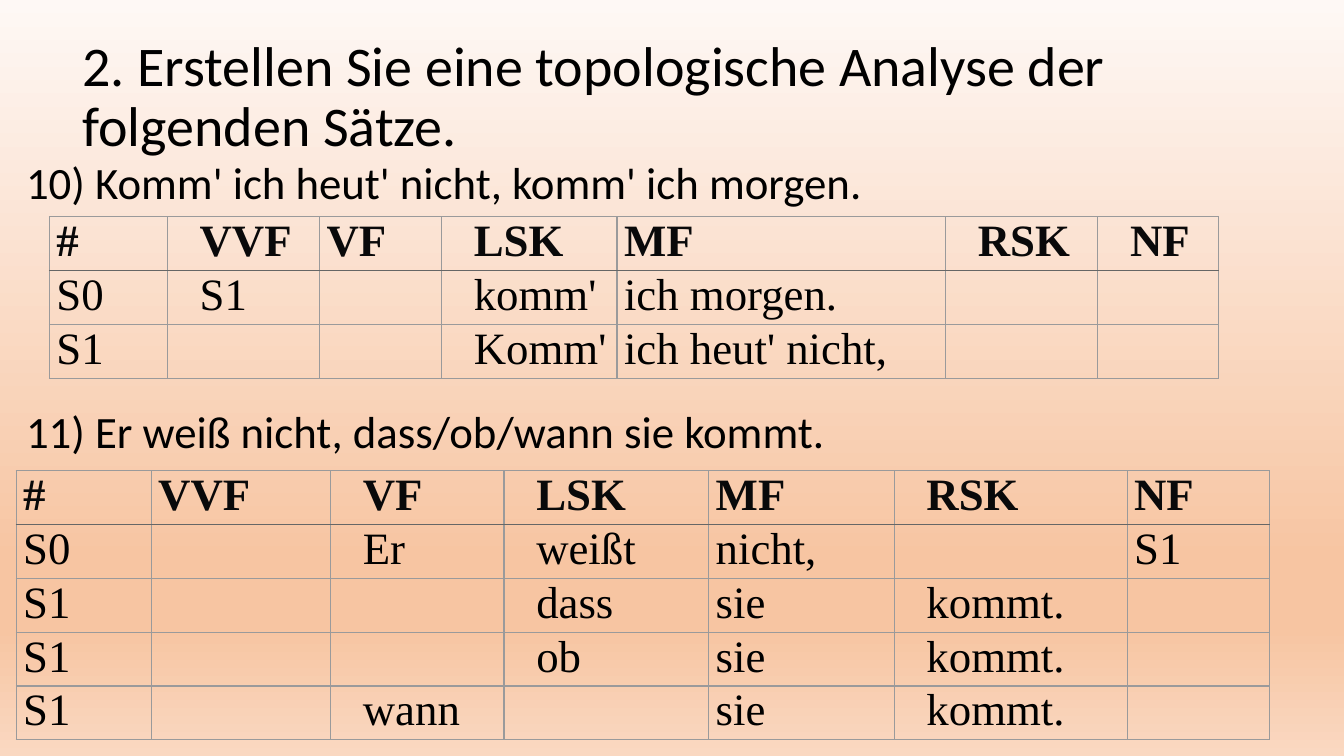
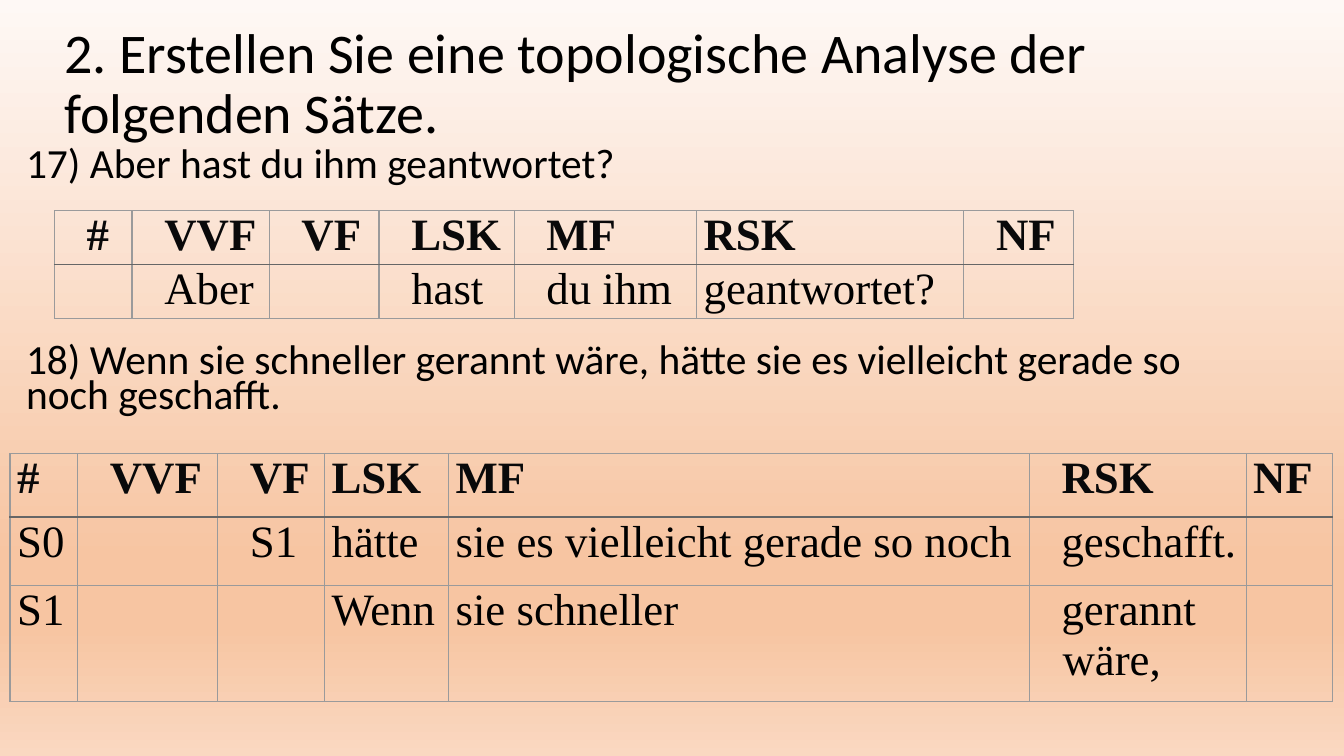
"""Build two slides with topological field analyses of German sentences."""
import copy
import dataclasses

import lxml.etree
import pptx
import pptx.dml.color
import pptx.enum.text
import pptx.oxml.ns
import pptx.util

Inches = pptx.util.Inches


@dataclasses.dataclass(frozen=True)
class Theme:
    body_font: str = "Calibri"
    table_font: str = "Times New Roman"
    text: str = "000000"
    header: str = "09090A"
    grid_line: str = "9A9A9B"
    header_line: str = "666666"
    title_size: float = 40
    table_size: float = 32
    grid_width: float = 1
    header_width: float = 1.5
    gradient: tuple = ((0, "FEF8F5"), (0.74, "F7C5A2"), (0.83, "F7C5A2"), (1, "FAD8C1"))


THEME = Theme()
TITLE = "2. Erstellen Sie eine topologische Analyse der folgenden Sätze."
FIELDS = ["#", "VVF", "VF", "LSK", "MF", "RSK", "NF"]

SLIDES = [
    {
        "title_at": (0.72, 0.25),
        "sentence_size": 32,
        "sentence_spacing": 0.9,
        "right_margin": 0.04,
        "sentences": [
            (1.55, 0.6, "10) Komm' ich heut' nicht, komm' ich morgen."),
            (4.02, 0.6, "11) Er weiß nicht, dass/ob/wann sie kommt."),
        ],
        "tables": [
            {
                "at": (0.49, 2.15),
                "columns": [1.17, 1.51, 1.21, 1.74, 3.26, 1.51, 1.2],
                "heights": [0.53] * 3,
                "indented": {"VVF", "LSK", "RSK", "NF"},
                "rows": [
                    ["S0", "S1", "", "komm'", "ich morgen.", "", ""],
                    ["S1", "", "", "Komm'", "ich heut' nicht,", "", ""],
                ],
            },
            {
                "at": (0.16, 4.67),
                "columns": [1.34, 1.78, 1.72, 2.03, 1.84, 2.31, 1.41],
                "heights": [0.53] * 5,
                "indented": {"VF", "LSK", "RSK"},
                "rows": [
                    ["S0", "", "Er", "weißt", "nicht,", "", "S1"],
                    ["S1", "", "", "dass", "sie", "kommt.", ""],
                    ["S1", "", "", "ob", "sie", "kommt.", ""],
                    ["S1", "", "wann", "", "sie", "kommt.", ""],
                ],
            },
        ],
    },
    {
        "title_at": (0.54, 0.12),
        "sentence_size": 29.6,
        "sentence_spacing": 0.7,
        "right_margin": 0.08,
        "sentences": [
            (1.45, 0.5, "17) Aber hast du ihm geantwortet?"),
            (3.39, 0.85, "18) Wenn sie schneller gerannt wäre, hätte sie es "
                         "vielleicht gerade so noch geschafft."),
        ],
        "tables": [
            {
                "at": (0.54, 2.09),
                "columns": [0.77, 1.36, 1.09, 1.34, 1.81, 2.65, 1.09],
                "heights": [0.53] * 2,
                "indented": {"#", "VVF", "VF", "LSK", "MF", "NF"},
                "rows": [["", "Aber", "", "hast", "du ihm", "geantwortet?", ""]],
            },
            {
                "at": (0.1, 4.5),
                "columns": [0.67, 1.39, 1.06, 1.23, 5.76, 2.15, 0.86],
                "heights": [0.63, 0.68, 1.15],
                "indented": {"VVF", "VF", "RSK"},
                "rows": [
                    ["S0", "", "S1", "hätte", "sie es vielleicht gerade so noch",
                     "geschafft.", ""],
                    ["S1", "", "", "Wenn", "sie schneller", "gerannt wäre,", ""],
                ],
            },
        ],
    },
]


def write_text(frame, text, *, size, font=THEME.body_font, color=THEME.text,
               bold=False, spacing=0.9, indent=None):
    frame.word_wrap = True
    paragraph = frame.paragraphs[0]
    paragraph.line_spacing = spacing
    paragraph.space_after = pptx.util.Pt(0)
    if indent is not None:
        properties = paragraph._p.get_or_add_pPr()
        properties.set("marL", str(Inches(indent)))
        properties.set("indent", str(Inches(-0.01)))
    run = paragraph.add_run()
    run.text = text
    run.font.name = font
    run.font.size = pptx.util.Pt(size)
    run.font.bold = bold
    run.font.color.rgb = pptx.dml.color.RGBColor.from_string(color)


def add_border(cell, side, color, width):
    qualified = pptx.oxml.ns.qn
    line = lxml.etree.SubElement(cell._tc.get_or_add_tcPr(), qualified(f"a:ln{side}"))
    line.set("w", str(pptx.util.Pt(width)))
    fill = lxml.etree.SubElement(line, qualified("a:solidFill"))
    lxml.etree.SubElement(fill, qualified("a:srgbClr")).set("val", color)


presentation = pptx.Presentation()
presentation.slide_width = Inches(13.33)
presentation.slide_height = Inches(7.5)

master = presentation.slide_master
background = master.background.fill
background.gradient()
background.gradient_angle = 270
stop_list = master.element.xpath("./p:cSld/p:bg//a:gsLst")[0]
while len(stop_list) < len(THEME.gradient):
    stop_list.append(copy.deepcopy(stop_list[0]))
for stop, (position, color) in zip(background.gradient_stops, THEME.gradient):
    stop.position = position
    stop.color.rgb = pptx.dml.color.RGBColor.from_string(color)

for content in SLIDES:
    slide = presentation.slides.add_slide(presentation.slide_layouts[6])

    left, top = content["title_at"]
    title = slide.shapes.add_textbox(Inches(left), Inches(top), Inches(11.5), Inches(1.45))
    title.text_frame.vertical_anchor = pptx.enum.text.MSO_ANCHOR.MIDDLE
    write_text(title.text_frame, TITLE, size=THEME.title_size)

    for top, height, text in content["sentences"]:
        sentence = slide.shapes.add_textbox(
            Inches(0.16), Inches(top), Inches(12.26), Inches(height))
        write_text(sentence.text_frame, text, size=content["sentence_size"],
                   spacing=content["sentence_spacing"])

    for analysis in content["tables"]:
        left, top = analysis["at"]
        rows = [FIELDS] + analysis["rows"]
        table = slide.shapes.add_table(
            len(rows), len(FIELDS), Inches(left), Inches(top),
            Inches(sum(analysis["columns"])), Inches(sum(analysis["heights"]))).table
        table.first_row = False
        table.horz_banding = False
        for column, width in zip(table.columns, analysis["columns"]):
            column.width = Inches(width)
        for row, height in zip(table.rows, analysis["heights"]):
            row.height = Inches(height)

        for row_index, row in enumerate(rows):
            is_header = row_index == 0
            for column_index, (field, text) in enumerate(zip(FIELDS, row)):
                cell = table.cell(row_index, column_index)
                cell.margin_left = Inches(0.07)
                cell.margin_right = Inches(content["right_margin"])
                cell.margin_top = cell.margin_bottom = Inches(0)
                for side in "LRTB":
                    if (side, row_index) in {("B", 0), ("T", 1)}:
                        add_border(cell, side, THEME.header_line, THEME.header_width)
                    else:
                        add_border(cell, side, THEME.grid_line, THEME.grid_width)
                cell.fill.background()
                if text:
                    write_text(cell.text_frame, text, size=THEME.table_size,
                               font=THEME.table_font, bold=is_header, spacing=1.0,
                               color=THEME.header if is_header else THEME.text,
                               indent=0.26 if field in analysis["indented"] else 0)

presentation.save("out.pptx")
